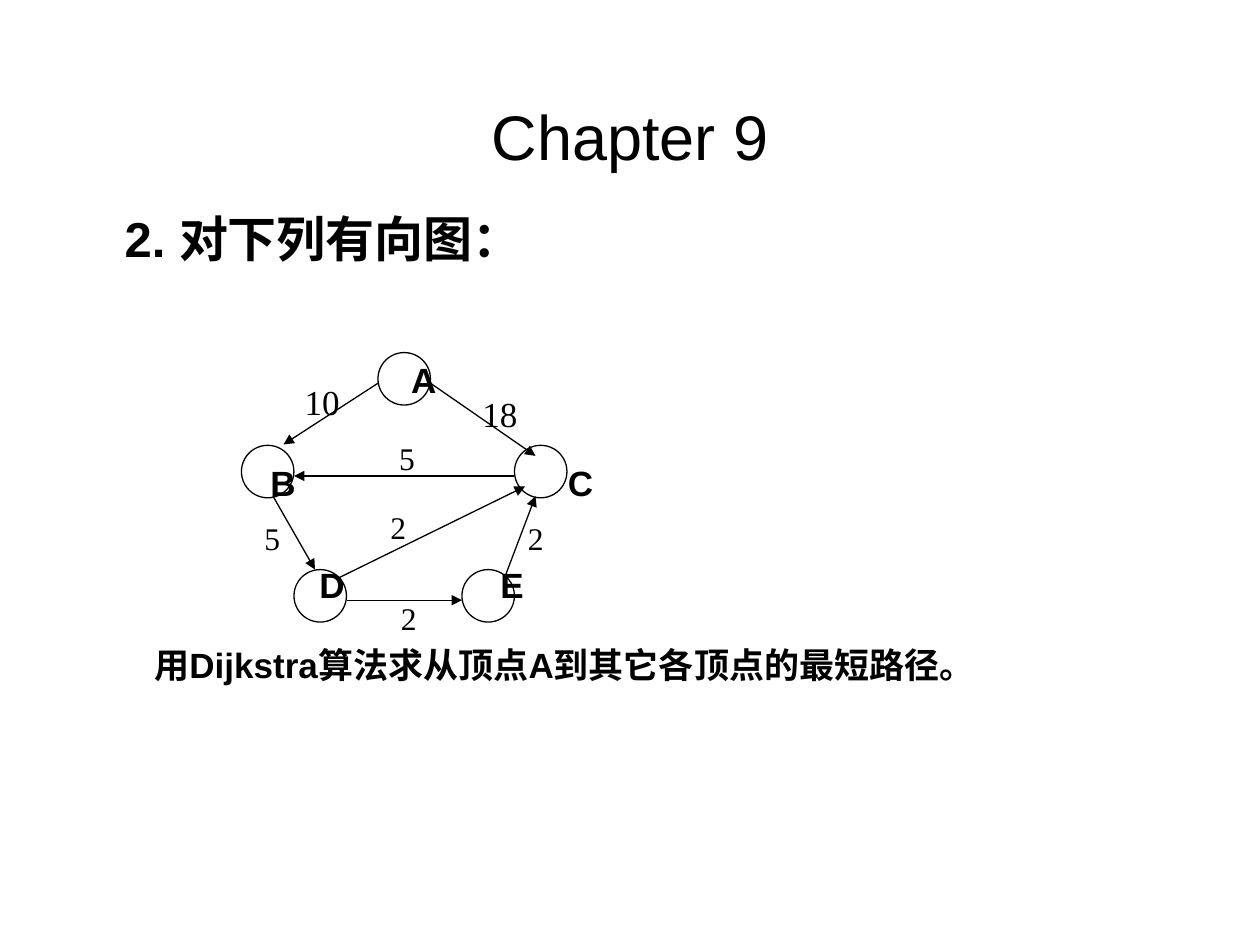
from lxml import etree
from pptx import Presentation
from pptx.dml.color import RGBColor
from pptx.enum.shapes import MSO_CONNECTOR as Connector, MSO_SHAPE as Shape
from pptx.enum.text import MSO_ANCHOR as Anchor, MSO_AUTO_SIZE as AutoSize, PP_ALIGN as Align
from pptx.oxml.ns import qn
from pptx.util import Pt

COLORS = {"ink": "000000"}
DIAMETER = 30
LETTER_SIZE = 20

# Vertex: circle corner, letter corner
VERTICES = {
    "A": ((216, 201.5), (235, 205)),
    "B": ((138, 254.5), (154.5, 263.5)),
    "C": ((294, 254.5), (324.5, 263.5)),
    "D": ((168, 325.5), (182.5, 322)),
    "E": ((264, 325.5), (286, 322)),
}
# Edge: start, end, weight, weight box corner, weight size
EDGES = [
    ((216, 219), (162, 254), "10", (167, 214), 20),
    ((246, 219), (306, 260.5), "18", (268.5, 221), 20),
    ((294, 272), (168, 272), "5", (221, 247.5), 18),
    ((192, 331), (300, 278), "2", (216, 287), 18),
    ((288, 331), (306, 283.5), "2", (294.5, 293), 18),
    ((198, 343), (264, 343), "2", (222, 339), 18),
    ((156, 283.5), (180, 325.5), "5", (144, 293), 18),
]


def ink():
    return RGBColor.from_string(COLORS["ink"])


def place(box, left, top, width, height):
    box.left, box.top, box.width, box.height = Pt(left), Pt(top), Pt(width), Pt(height)


def write(para, text, size=20, font="Arial", bold=False, align=None, before=0, indent=0):
    """Fill a paragraph with one formatted run and no bullet."""
    properties = para._p.get_or_add_pPr()
    properties.set("marL", str(Pt(indent)))
    properties.set("indent", "0")
    para.space_before = Pt(before)
    etree.SubElement(properties, qn("a:buNone"))
    para.alignment = align
    span = para.add_run()
    span.text = text
    span.font.size, span.font.name, span.font.bold = Pt(size), font, bold
    span.font.color.rgb = ink()


def add_label(graph, text, corner, width, height, inset=True, **style):
    box = graph.shapes.add_textbox(Pt(corner[0]), Pt(corner[1]), Pt(width), Pt(height))
    frame = box.text_frame
    frame.word_wrap = False
    if not inset:
        frame.margin_left = frame.margin_right = 0
        frame.margin_top = frame.margin_bottom = 0
    write(frame.paragraphs[0], text, **style)


def add_vertex(graph, corner):
    circle = graph.shapes.add_shape(
        Shape.OVAL, Pt(corner[0]), Pt(corner[1]), Pt(DIAMETER), Pt(DIAMETER))
    circle.shadow.inherit = False
    circle.fill.background()
    circle.line.color.rgb = ink()
    circle.line.width = Pt(0.75)


def add_edge(graph, start, end):
    arrow = graph.shapes.add_connector(
        Connector.STRAIGHT, *(Pt(value) for value in (*start, *end)))
    arrow.line.color.rgb = ink()
    arrow.line.width = Pt(0.75)
    etree.SubElement(arrow.line._get_or_add_ln(), qn("a:tailEnd"), type="triangle")
    etree.SubElement(arrow._element.spPr, qn("a:effectLst"))


def add_texts(page):
    title, body = page.shapes.title, page.placeholders[1]
    place(title, 54, 48, 612, 58.5)
    title.text_frame.vertical_anchor = Anchor.MIDDLE
    write(title.text_frame.paragraphs[0], "Chapter 9", size=36, align=Align.CENTER)

    place(body, 54, 112.5, 612, 373.5)
    frame = body.text_frame
    frame.auto_size = AutoSize.NONE
    frame.margin_top = Pt(6.5)
    write(frame.paragraphs[0], "2. 对下列有向图：", size=28, bold=True, indent=10)
    # The graph sits in the space above the task
    write(frame.add_paragraph(), "用Dijkstra算法求从顶点A到其它各顶点的最短路径。",
          bold=True, before=215, indent=27)


def add_graph(page):
    graph = page.shapes.add_group_shape()
    for circle_corner, _ in VERTICES.values():
        add_vertex(graph, circle_corner)
    for start, end, weight, corner, size in EDGES:
        add_edge(graph, start, end)
        width, height = (49, 31) if len(weight) > 1 else (24, 29)
        add_label(graph, weight, corner, width, height, size=size, font="Times New Roman")
    for letter, (_, corner) in VERTICES.items():
        add_label(graph, letter, corner, 16, 23, inset=False, size=LETTER_SIZE, bold=True)


def main():
    deck = Presentation()
    deck.slide_width, deck.slide_height = Pt(720), Pt(540)
    page = deck.slides.add_slide(deck.slide_layouts[1])
    add_texts(page)
    add_graph(page)
    deck.save("out.pptx")


if __name__ == "__main__":
    main()
